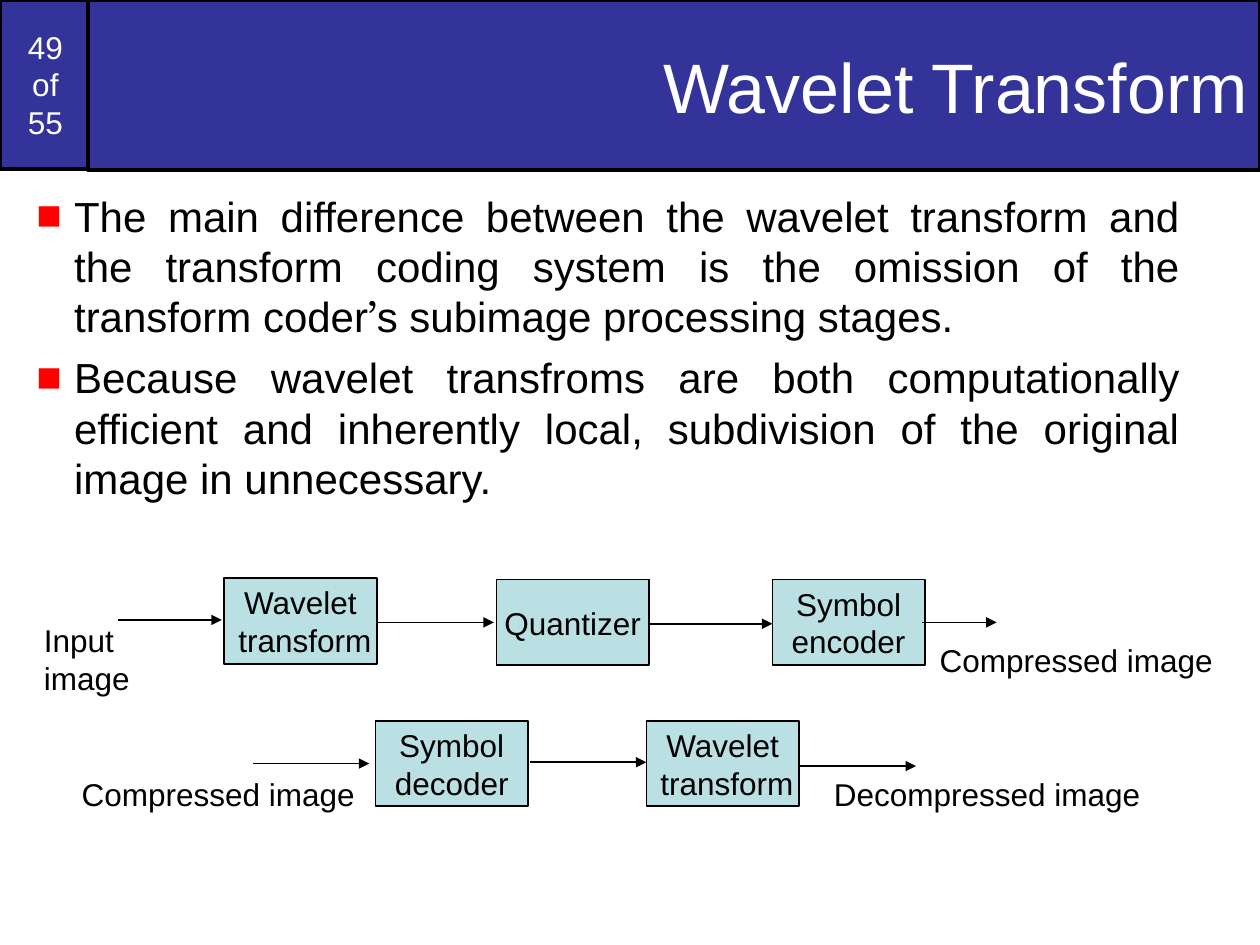
import pptx
import pptx.dml.color
import pptx.enum.shapes
import pptx.enum.text
import pptx.oxml
import pptx.oxml.ns
import pptx.util
from pptx.util import Inches

COLORS = {
    "banner": "333399",
    "box": "BBE0E3",
    "bullet": "FF0000",
    "dark": "000000",
    "light": "FFFFFF",
}
ALIGN = pptx.enum.text.PP_ALIGN
ANCHOR = pptx.enum.text.MSO_ANCHOR
BOX_WIDTH, BOX_HEIGHT = 1.21, 0.68


def rgb(name):
    return pptx.dml.color.RGBColor.from_string(COLORS[name])


def drawing_element(parent, tag, **attributes):
    element = pptx.oxml.parse_xml(f"<a:{tag} {pptx.oxml.ns.nsdecls('a')}/>")
    for name, value in attributes.items():
        element.set(name, value)
    parent.append(element)
    return element


class SlideBuilder:
    font_name = "Arial"
    quote_font = "TeX Gyre Schola"
    label_size = 18
    body_size = 24

    def __init__(self, slide):
        self.slide = slide

    def format_runs(self, paragraph, size, color, alignment):
        paragraph.alignment = alignment
        for run in paragraph.runs:
            run.font.name = self.font_name
            run.font.size = pptx.util.Pt(size)
            run.font.color.rgb = rgb(color)

    def rectangle(self, text, left, top, width, height, fill="box", line_width=1,
                  size=label_size, color="dark", alignment=ALIGN.CENTER, wrap=False):
        shape = self.slide.shapes.add_shape(
            pptx.enum.shapes.MSO_SHAPE.RECTANGLE,
            Inches(left), Inches(top), Inches(width), Inches(height))
        shape.shadow.inherit = False
        shape.fill.solid()
        shape.fill.fore_color.rgb = rgb(fill)
        shape.line.color.rgb = rgb("dark")
        shape.line.width = pptx.util.Pt(line_width)
        text_frame = shape.text_frame
        text_frame.text = text
        text_frame.word_wrap = wrap
        text_frame.vertical_anchor = ANCHOR.MIDDLE
        for paragraph in text_frame.paragraphs:
            self.format_runs(paragraph, size, color, alignment)

    def label(self, text, left, top, width):
        text_box = self.slide.shapes.add_textbox(
            Inches(left), Inches(top), Inches(width), Inches(0.4))
        text_box.text_frame.text = text
        text_box.text_frame.word_wrap = False
        self.format_runs(text_box.text_frame.paragraphs[0], self.label_size,
                         "dark", ALIGN.LEFT)

    def arrow(self, start, end, y):
        connector = self.slide.shapes.add_connector(
            pptx.enum.shapes.MSO_CONNECTOR.STRAIGHT,
            Inches(start), Inches(y), Inches(end), Inches(y))
        connector.line.color.rgb = rgb("dark")
        connector.line.width = pptx.util.Pt(1)
        drawing_element(connector.line._get_or_add_ln(), "tailEnd", type="triangle")
        drawing_element(connector._element.spPr, "effectLst")

    def bullets(self, items, left, top, width, height):
        text_box = self.slide.shapes.add_textbox(
            Inches(left), Inches(top), Inches(width), Inches(height))
        text_frame = text_box.text_frame
        text_frame.word_wrap = True
        for index, item in enumerate(items):
            paragraph = text_frame.add_paragraph() if index else text_frame.paragraphs[0]
            properties = paragraph._p.get_or_add_pPr()
            properties.set("marL", str(Inches(0.49)))
            properties.set("indent", str(Inches(-0.3)))
            bullet_color = drawing_element(properties, "buClr")
            drawing_element(bullet_color, "srgbClr", val=COLORS["bullet"])
            drawing_element(properties, "buFont", typeface=self.font_name)
            drawing_element(properties, "buChar", char="■")
            if index:
                paragraph.space_before = pptx.util.Pt(6)
            # The apostrophe has its own typeface
            before, apostrophe, after = item.partition("’")
            for part in filter(None, (before, apostrophe, after)):
                paragraph.add_run().text = part
            self.format_runs(paragraph, self.body_size, "dark", ALIGN.JUSTIFY)
            for run in paragraph.runs:
                if run.text == "’":
                    run.font.name = self.quote_font


def main():
    presentation = pptx.Presentation()
    presentation.slide_width = Inches(10)
    presentation.slide_height = Inches(7.5)
    builder = SlideBuilder(presentation.slides.add_slide(presentation.slide_layouts[6]))

    # Banner with page counter and title
    builder.rectangle("49\vof\v55", 0, 0, 0.72, 1.34, fill="banner", line_width=2,
                      color="light", wrap=True)
    builder.rectangle("Wavelet Transform", 0.7, 0, 9.3, 1.35, fill="banner",
                      line_width=2, size=40, color="light", alignment=ALIGN.RIGHT,
                      wrap=True)

    # Body text
    builder.bullets([
        "The main difference between the wavelet transform and the transform coding "
        "system is the omission of the transform coder’s subimage processing stages.",
        "Because wavelet transfroms are both computationally efficient and inherently "
        "local, subdivision of the original image in unnecessary.",
    ], 0, 1.46, 9.46, 6.04)

    # Encoder row, then decoder row
    for text, left, top in [
        ("Wavelet\n transform", 1.78, 4.59),
        ("Quantizer", 3.94, 4.6),
        ("Symbol\nencoder", 6.13, 4.6),
        ("Symbol\ndecoder", 2.98, 5.72),
        ("Wavelet\n transform", 5.13, 5.72),
    ]:
        builder.rectangle(text, left, top, BOX_WIDTH, BOX_HEIGHT)

    for start, end, y in [
        (0.94, 1.76, 4.92), (3, 3.92, 4.94), (5.16, 6.13, 4.95), (7.32, 7.91, 4.94),
        (2.01, 2.93, 6.06), (4.21, 5.13, 6.05), (6.35, 7.27, 6.08),
    ]:
        builder.arrow(start, end, y)

    # Inputs and outputs
    for text, left, top, width in [
        ("Input image", 0.25, 4.88, 1.5),
        ("Compressed image", 7.36, 5.04, 2.37),
        ("Compressed image", 0.55, 6.1, 2.37),
        ("Decompressed image", 6.52, 6.1, 2.63),
    ]:
        builder.label(text, left, top, width)

    presentation.save("out.pptx")


if __name__ == "__main__":
    main()
